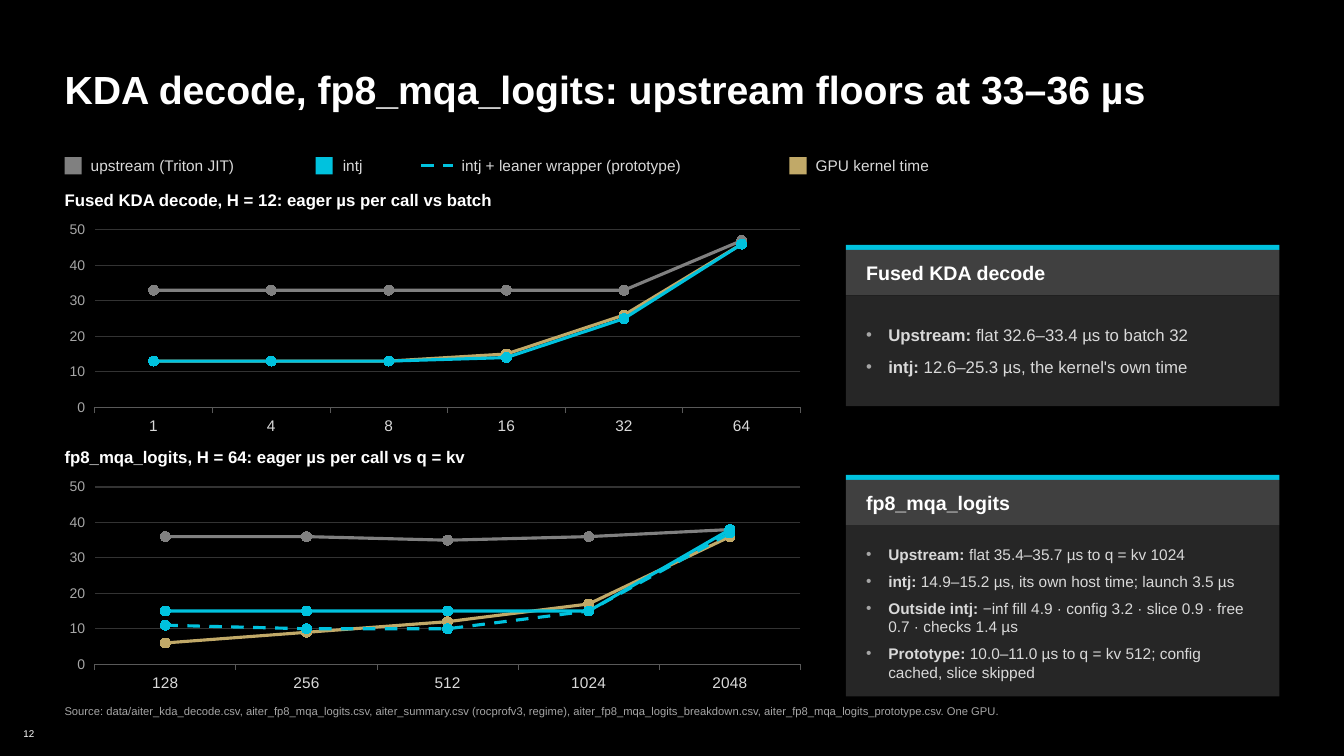
from lxml import etree
from pptx import Presentation
from pptx.chart.data import CategoryChartData
from pptx.dml.color import RGBColor
from pptx.enum.chart import XL_CHART_TYPE, XL_MARKER_STYLE, XL_TICK_MARK
from pptx.enum.dml import MSO_LINE
from pptx.enum.shapes import MSO_CONNECTOR, MSO_SHAPE
from pptx.enum.text import MSO_ANCHOR, MSO_AUTO_SIZE, PP_ALIGN
from pptx.oxml.ns import qn
from pptx.util import Inches, Pt

LINE_MARKERS = XL_CHART_TYPE.LINE_MARKERS
CIRCLE = XL_MARKER_STYLE.CIRCLE
TICK_OUT = XL_TICK_MARK.OUTSIDE
DASH = MSO_LINE.DASH
STRAIGHT = MSO_CONNECTOR.STRAIGHT
RECTANGLE = MSO_SHAPE.RECTANGLE
TOP, MIDDLE = MSO_ANCHOR.TOP, MSO_ANCHOR.MIDDLE
LEFT, RIGHT = PP_ALIGN.LEFT, PP_ALIGN.RIGHT
NO_AUTOFIT = MSO_AUTO_SIZE.NONE

FONT = "Arial"
COLORS = {
    "black": "000000", "white": "FFFFFF", "text": "D9D9D9", "muted": "A6A6A6",
    "upstream": "808080", "intj": "00C2DE", "kernel": "C1A968",
    "axis": "595959", "grid": "333333", "header": "404040", "panel": "262626",
}
RGB = {name: RGBColor.from_string(value) for name, value in COLORS.items()}
MARGIN = 0.64
PANEL_LEFT, PANEL_WIDTH, PANEL_INSET = 8.39, 4.3, 0.2
ACCENT_HEIGHT, HEADER_HEIGHT = 0.05, 0.45
BULLET_INDENT = Inches(0.22)

LEGEND = [  # label, color, swatch left, label left, label width, dashed
    ("upstream (Triton JIT)", "upstream", 0.64, 0.9, 2.04, False),
    ("intj", "intj", 3.13, 3.4, 0.59, False),
    ("intj + leaner wrapper (prototype)", "intj", 4.18, 4.58, 3.06, True),
    ("GPU kernel time", "kernel", 7.83, 8.09, 1.52, False),
]
SECTIONS = [
    {
        "top": 1.88,
        "heading": "Fused KDA decode, H = 12: eager µs per call vs batch",
        "categories": ["1", "4", "8", "16", "32", "64"],
        "series": [
            ("GPU kernel time", "kernel", (13, 13, 13, 15, 26, 46), False),
            ("upstream (Triton JIT)", "upstream", (33, 33, 33, 33, 33, 47), False),
            ("intj", "intj", (13, 13, 13, 14, 25, 46), False),
        ],
        "panel_top": 2.43, "panel_height": 1.1, "list_height": 1.1,
        "panel_title": "Fused KDA decode", "size": 12, "gap": 8,
        "bullets": [
            ("Upstream: ", "flat 32.6–33.4 µs to batch 32"),
            ("intj: ", "12.6–25.3 µs, the kernel's own time"),
        ],
    },
    {
        "top": 4.43,
        "heading": "fp8_mqa_logits, H = 64: eager µs per call vs q = kv",
        "categories": ["128", "256", "512", "1024", "2048"],
        "series": [
            ("GPU kernel time", "kernel", (6, 9, 12, 17, 36), False),
            ("upstream (Triton JIT)", "upstream", (36, 36, 35, 36, 38), False),
            ("intj", "intj", (15, 15, 15, 15, 38), False),
            ("intj + leaner wrapper (prototype)", "intj", (11, 10, 10, 15, 37), True),
        ],
        "panel_top": 4.71, "panel_height": 1.7, "list_height": 1.75,
        "panel_title": "fp8_mqa_logits", "size": 11, "gap": 6,
        "bullets": [
            ("Upstream: ", "flat 35.4–35.7 µs to q = kv 1024"),
            ("intj: ", "14.9–15.2 µs, its own host time; launch 3.5 µs"),
            ("Outside intj: ", "−inf fill 4.9 · config 3.2 · slice 0.9 · free 0.7 · checks 1.4 µs"),
            ("Prototype: ", "10.0–11.0 µs to q = kv 512; config cached, slice skipped"),
        ],
    },
]

prs = Presentation()
prs.slide_width, prs.slide_height = Inches(13.33), Inches(7.5)
slide = prs.slides.add_slide(prs.slide_layouts[3])
slide.background.fill.solid()
slide.background.fill.fore_color.rgb = RGB["black"]


def write_text(box, bounds, text, size, color, bold=False, anchor=MIDDLE, align=LEFT):
    """Place a text box or placeholder and, if text is given, fill its one paragraph."""
    box.left, box.top, box.width, box.height = map(Inches, bounds)
    frame = box.text_frame
    frame.word_wrap = True
    frame.auto_size = NO_AUTOFIT
    frame.vertical_anchor = anchor
    frame.margin_left = frame.margin_right = frame.margin_top = frame.margin_bottom = 0
    if text:
        paragraph = frame.paragraphs[0]
        paragraph.text = text
        paragraph.alignment = align
        font = paragraph.font
        font.name, font.size, font.bold = FONT, Pt(size), bold
        font.color.rgb = RGB[color]
    return frame


def add_rectangle(left, top, width, height, color):
    rectangle = slide.shapes.add_shape(RECTANGLE, *map(Inches, (left, top, width, height)))
    rectangle.shadow.inherit = False
    rectangle.fill.solid()
    rectangle.fill.fore_color.rgb = RGB[color]
    rectangle.line.fill.background()


title, *lists = slide.placeholders
write_text(title, (MARGIN, 0.65, 12.05, 0.47),
           "KDA decode, fp8_mqa_logits: upstream floors at 33–36 µs", 28, "white", True, TOP)

for label, color, swatch_left, label_left, label_width, dashed in LEGEND:
    if dashed:
        sample = slide.shapes.add_connector(
            STRAIGHT, *map(Inches, (swatch_left, 1.64, swatch_left + 0.31, 1.64)))
        sample.line.color.rgb = RGB[color]
        sample.line.width = Pt(2.25)
        sample.line.dash_style = DASH
        etree.SubElement(sample.element.spPr, qn("a:effectLst"))
    else:
        add_rectangle(swatch_left, 1.56, 0.17, 0.17, color)
    write_text(slide.shapes.add_textbox(0, 0, 0, 0),
               (label_left, 1.48, label_width, 0.32), label, 11, "text")

for section, bullet_list in zip(SECTIONS, lists):
    write_text(slide.shapes.add_textbox(0, 0, 0, 0), (MARGIN, section["top"], 7.45, 0.3),
               section["heading"], 12, "white", True, TOP)

    timings = CategoryChartData()
    timings.categories = section["categories"]
    for name, _, values, _ in section["series"]:
        timings.add_series(name, values)
    chart = slide.shapes.add_chart(
        LINE_MARKERS, *map(Inches, (0.54, section["top"] + 0.28, 7.55, 2.2)), timings).chart
    chart.has_legend = chart.has_title = False
    chart.font.name, chart.font.size = FONT, Pt(11)
    chart.font.color.rgb = RGB["text"]
    chart.plots[0].vary_by_categories = False
    for series, (_, color, _, dashed) in zip(chart.plots[0].series, section["series"]):
        series.smooth = False
        series.format.line.color.rgb = RGB[color]
        series.format.line.width = Pt(2.25)
        if dashed:
            series.format.line.dash_style = DASH
        series.marker.style, series.marker.size = CIRCLE, 7
        series.marker.format.fill.solid()
        series.marker.format.fill.fore_color.rgb = RGB[color]
        series.marker.format.line.color.rgb = RGB[color]

    batch_axis, time_axis = chart.category_axis, chart.value_axis
    for axis, size, color in ((batch_axis, 11, "text"), (time_axis, 10, "muted")):
        axis.major_tick_mark = TICK_OUT
        axis.tick_labels.font.name = FONT
        axis.tick_labels.font.size = Pt(size)
        axis.tick_labels.font.color.rgb = RGB[color]
    batch_axis.format.line.color.rgb = RGB["axis"]
    batch_axis.format.line.width = Pt(0.75)
    time_axis.format.line.fill.background()
    time_axis.minimum_scale, time_axis.maximum_scale, time_axis.major_unit = 0, 50, 10
    time_axis.major_gridlines.format.line.color.rgb = RGB["grid"]
    time_axis.major_gridlines.format.line.width = Pt(0.75)

    header_top = section["panel_top"] + ACCENT_HEIGHT
    list_top = header_top + HEADER_HEIGHT
    add_rectangle(PANEL_LEFT, section["panel_top"], PANEL_WIDTH, ACCENT_HEIGHT, "intj")
    add_rectangle(PANEL_LEFT, header_top, PANEL_WIDTH, HEADER_HEIGHT, "header")
    add_rectangle(PANEL_LEFT, list_top, PANEL_WIDTH, section["panel_height"], "panel")
    text_left, text_width = PANEL_LEFT + PANEL_INSET, PANEL_WIDTH - 2 * PANEL_INSET
    write_text(slide.shapes.add_textbox(0, 0, 0, 0),
               (text_left, header_top, text_width, HEADER_HEIGHT),
               section["panel_title"], 14, "white", True)

    # Bring the list in front of its panel
    bullet_list.element.getparent().append(bullet_list.element)
    frame = write_text(bullet_list, (text_left, list_top, text_width, section["list_height"]),
                       "", section["size"], "text")
    for i, (lead, detail) in enumerate(section["bullets"]):
        paragraph = frame.add_paragraph() if i else frame.paragraphs[0]
        properties = paragraph._p.get_or_add_pPr()
        properties.set("marL", str(BULLET_INDENT))
        properties.set("indent", str(-BULLET_INDENT))
        bullet_color = etree.SubElement(properties, qn("a:buClr"))
        etree.SubElement(bullet_color, qn("a:srgbClr"), val=COLORS["muted"])
        etree.SubElement(properties, qn("a:buChar"), char="•")
        paragraph.space_before = Pt(0)
        paragraph.space_after = Pt(section["gap"] if i < len(section["bullets"]) - 1 else 0)
        paragraph.font.name, paragraph.font.size = FONT, Pt(section["size"])
        paragraph.font.color.rgb = RGB["text"]
        for text, bold in ((lead, True), (detail, False)):
            run = paragraph.add_run()
            run.text, run.font.bold = text, bold

write_text(slide.shapes.add_textbox(0, 0, 0, 0), (MARGIN, 6.93, 10.9, 0.25),
           "Source: data/aiter_kda_decode.csv, aiter_fp8_mqa_logits.csv, aiter_summary.csv "
           "(rocprofv3, regime), aiter_fp8_mqa_logits_breakdown.csv, "
           "aiter_fp8_mqa_logits_prototype.csv. One GPU.", 8, "muted")
page_number = write_text(slide.shapes.add_textbox(0, 0, 0, 0), (0.21, 7.17, 0.13, 0.21),
                         "12", 7, "white", align=RIGHT)
page_number.word_wrap = False

prs.save("out.pptx")
